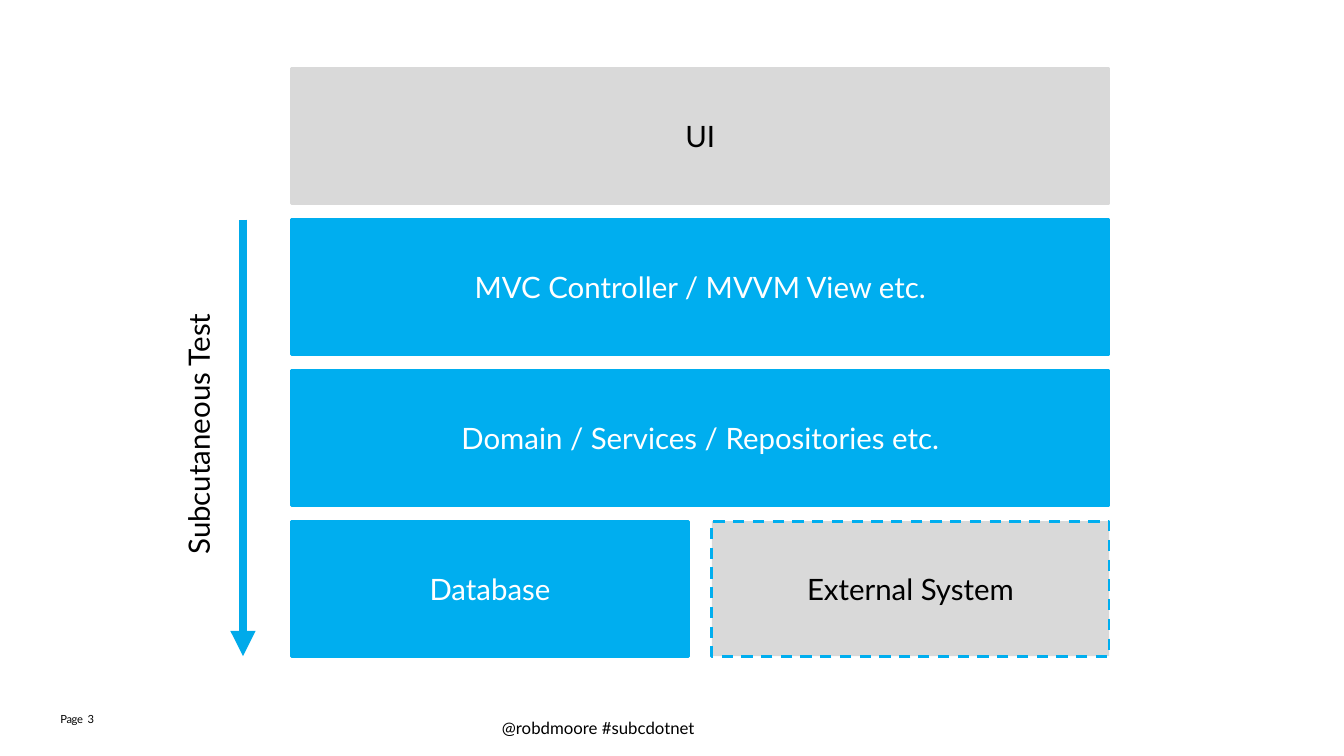
from pptx import Presentation
from pptx.dml.color import RGBColor
from pptx.enum.dml import MSO_LINE
from pptx.enum.shapes import MSO_CONNECTOR, MSO_SHAPE
from pptx.enum.text import MSO_ANCHOR, PP_ALIGN
from pptx.oxml.ns import qn
from pptx.util import Inches, Pt
from lxml import etree

BLUE = RGBColor(0x00, 0xAE, 0xEF)
ARROW = RGBColor(0x00, 0xAA, 0xEA)
GREY = RGBColor(0xD9, 0xD9, 0xD9)
BLACK = RGBColor(0, 0, 0)
WHITE = RGBColor(255, 255, 255)

prs = Presentation()
prs.slide_width, prs.slide_height = Inches(13.33), Inches(7.5)
slide = prs.slides.add_slide(prs.slide_layouts[6])
shapes = slide.shapes


def write(frame, text, size, color=BLACK):
    run = frame.paragraphs[0].add_run()
    run.text = text
    run.font.name = "Lato"
    run.font.size = Pt(size)
    run.font.color.rgb = color
    return run


def add_label(text, size, left, top, width, height):
    box = shapes.add_textbox(Inches(left), Inches(top), Inches(width), Inches(height))
    frame = box.text_frame
    frame.word_wrap = False
    return frame, write(frame, text, size)


# Footer: page number and handle
for text, left, width in (("Page", 0.6, 0.3), ("3", 0.87, 0.24)):
    frame, run = add_label(text, 8, left, 7.07, width, 0.34)
    frame.word_wrap = True
    frame.margin_left = frame.margin_right = 0
    frame.margin_top = frame.margin_bottom = 0
    run.font._element.set("spc", "-30")
add_label("@robdmoore #subcdotnet", 12, 4.88, 7.07, 2.18, 0.3)

# Layers of the application
LEFT, FULL, HALF = 2.89, 8.11, 3.94
TOP, STEP, TALL = 0.68, 1.497, 1.34
layers = [
    ("UI", 0, LEFT, FULL, GREY, GREY, BLACK),
    ("MVC Controller / MVVM View etc.", 1, LEFT, FULL, BLUE, BLUE, WHITE),
    ("Domain / Services / Repositories etc.", 2, LEFT, FULL, BLUE, BLUE, WHITE),
    ("Database", 3, LEFT, HALF, BLUE, BLUE, WHITE),
    ("External System", 3, LEFT + FULL - HALF, HALF, GREY, BLUE, BLACK),
]
for text, row, left, width, fill, edge, color in layers:
    layer = shapes.add_shape(MSO_SHAPE.RECTANGLE, Inches(left), Inches(TOP + row * STEP),
                             Inches(width), Inches(TALL))
    layer.shadow.inherit = False
    layer.fill.solid()
    layer.fill.fore_color.rgb = fill
    layer.line.color.rgb = edge
    layer.line.width = Pt(2)
    if fill != edge:
        layer.line.dash_style = MSO_LINE.DASH
    frame = layer.text_frame
    frame.word_wrap = True
    frame.vertical_anchor = MSO_ANCHOR.MIDDLE
    frame.paragraphs[0].alignment = PP_ALIGN.CENTER
    write(frame, text, 21, color)

# Arrow over the tested layers
arrow = shapes.add_connector(MSO_CONNECTOR.STRAIGHT, Inches(2.41), Inches(2.18),
                             Inches(2.41), Inches(6.51))
arrow.line.color.rgb = ARROW
arrow.line.width = Pt(6)
etree.SubElement(arrow.line._get_or_add_ln(), qn("a:tailEnd"), type="triangle")
etree.SubElement(arrow._element.spPr, qn("a:effectLst"))

# Upright label beside the arrow
frame, run = add_label("Subcutaneous Test", 21, 1.74, 3.08, 0.56, 2.52)
frame._txBody.bodyPr.set("vert", "vert270")

prs.save("out.pptx")
